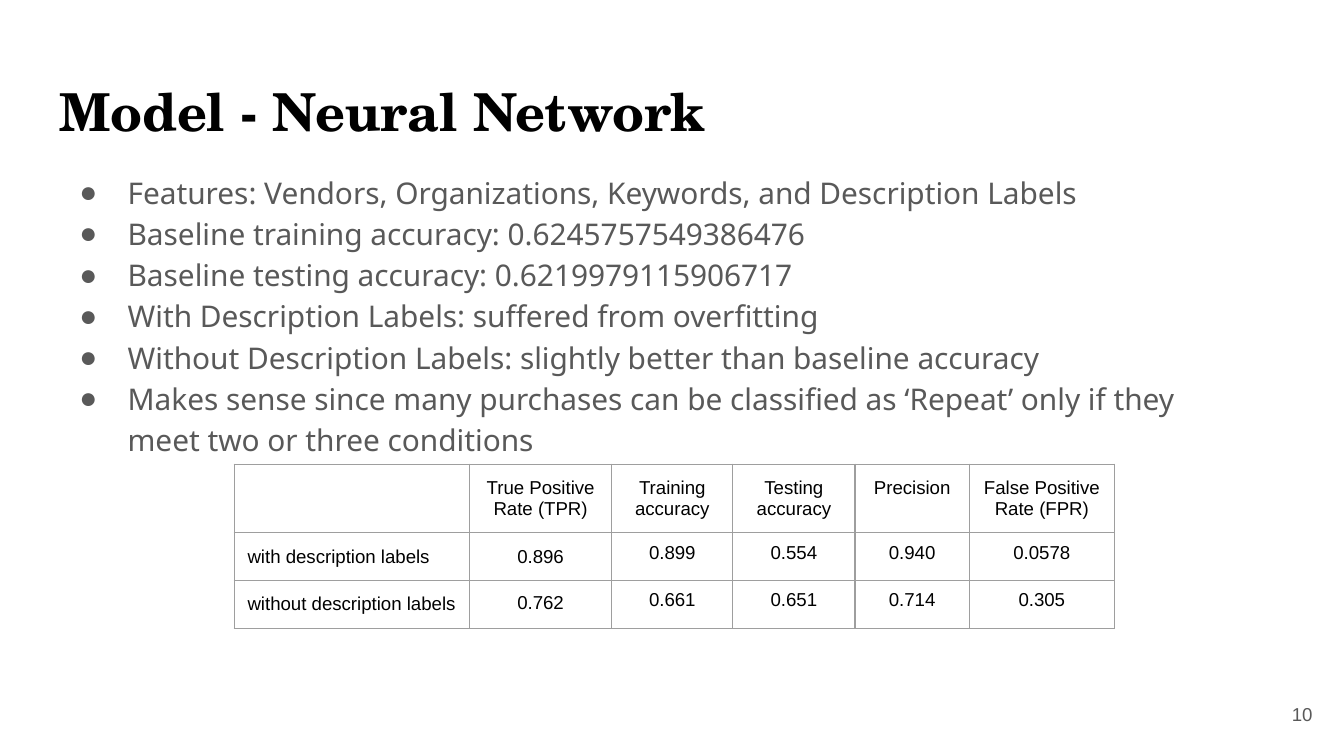
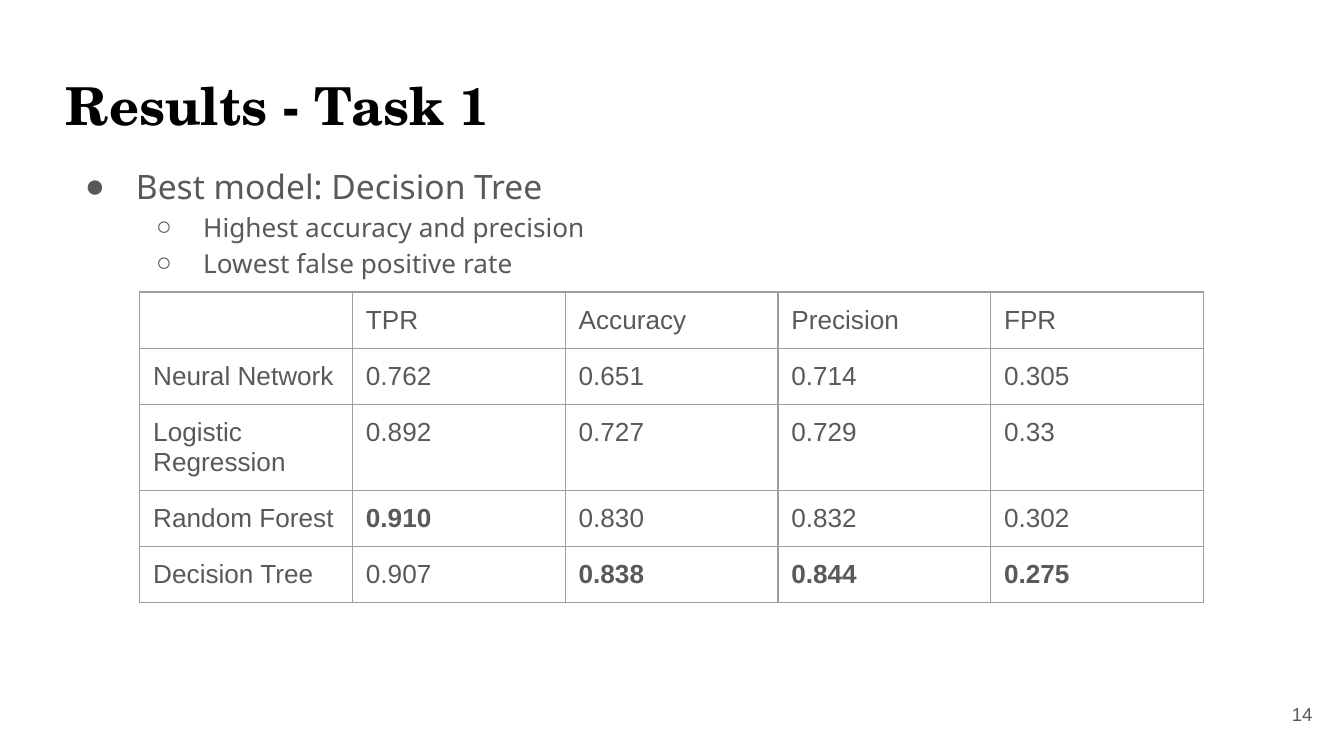
from dataclasses import dataclass

import pptx
import pptx.dml.color
import pptx.enum.text
import pptx.oxml
import pptx.oxml.ns
import pptx.util
from lxml import etree

Inches, Pt = pptx.util.Inches, pptx.util.Pt
RGBColor = pptx.dml.color.RGBColor
Align = pptx.enum.text.PP_ALIGN
Anchor = pptx.enum.text.MSO_ANCHOR
qn = pptx.oxml.ns.qn


@dataclass(frozen=True)
class Theme:
    black: str = "000000"
    grey: str = "595959"
    rule: str = "9E9E9E"
    title_font: str = "TeX Gyre Schola"
    body_font: str = "Noto Sans"
    table_font: str = "Arial"
    title_size: int = 28
    number_size: int = 10
    rule_width: float = 0.75
    inset: float = 0.1
    tight_inset: float = 0.07
    line_spacing: float = 1.15


theme = Theme()

# Bullet mark and left indent for each list level
levels = [("●", 0.5), ("○", 1.0)]

# Boxes are left, top, width and height in percent of the slide's size
number_box = (92.65, 90.66, 6, 7.65)

pages = [
    {
        "number": "10",
        "title": "Model - Neural Network",
        "title_box": (3.4, 8.7, 93.2, 19.7),
        "body_box": (3.5, 20.62, 90.6, 40.7),
        # level, size, hanging indent, wording
        "points": [
            (0, 16, 0.36, "Features: Vendors, Organizations, Keywords, and Description Labels"),
            (0, 16, 0.36, "Baseline training accuracy: 0.6245757549386476"),
            (0, 16, 0.36, "Baseline testing accuracy: 0.6219979115906717"),
            (0, 16, 0.36, "With Description Labels: suffered from overfitting"),
            (0, 16, 0.36, "Without Description Labels: slightly better than baseline accuracy"),
            (0, 16, 0.36, "Makes sense since many purchases can be classified as ‘Repeat’ "
                          "only if they meet two or three conditions"),
        ],
        "table_corner": (17.42, 61.4),
        "columns": [17.5, 10.6, 9, 9.1, 8.5, 10.8],
        "rows": [8.4, 5.7, 5.7],
        "table_size": 10,
        "table_color": theme.black,
        "value_align": Align.CENTER,
        "results": [
            ["", "True Positive Rate (TPR)", "Training accuracy", "Testing accuracy",
             "Precision", "False Positive Rate (FPR)"],
            ["with description labels", "0.896", "0.899", "0.554", "0.940", "0.0578"],
            ["without description labels", "0.762", "0.661", "0.651", "0.714", "0.305"],
        ],
        "best": set(),
        "tight": {(1, c) for c in range(2, 6)} | {(2, c) for c in range(1, 6)},
        "loose_lines": {(2, 1)},
    },
    {
        "number": "14",
        "title": "Results - Task 1",
        "title_box": (3.9, 7.95, 93.2, 19.7),
        "body_box": (4.12, 19.38, 46.5, 19.7),
        "points": [
            (0, 18, 0.38, "Best model: Decision Tree"),
            (1, 14, 0.35, "Highest accuracy and precision"),
            (1, 14, 0.35, "Lowest false positive rate"),
        ],
        "table_corner": (10.4, 38.62),
        "columns": [15.83] * 5,
        "rows": [7.4] * 5,
        "table_size": 14,
        "table_color": theme.grey,
        "value_align": Align.LEFT,
        "results": [
            ["", "TPR", "Accuracy", "Precision", "FPR"],
            ["Neural Network", "0.762", "0.651", "0.714", "0.305"],
            ["Logistic Regression", "0.892", "0.727", "0.729", "0.33"],
            ["Random Forest", "0.910", "0.830", "0.832", "0.302"],
            ["Decision Tree", "0.907", "0.838", "0.844", "0.275"],
        ],
        "best": {(3, 1), (4, 2), (4, 3), (4, 4)},
        "tight": set(),
        "loose_lines": set(),
    },
]

deck = pptx.Presentation()
deck.slide_width = Inches(10)
deck.slide_height = deck.slide_width * 9 // 16
column = deck.slide_width / 100
row = deck.slide_height / 100


def place(part, box, anchor=Anchor.TOP):
    """Move a text part to its box and give its frame the shared settings."""
    left, top, width, height = box
    part.left, part.width = round(left * column), round(width * column)
    part.top, part.height = round(top * row), round(height * row)
    frame = part.text_frame
    frame.word_wrap = True
    frame.auto_size = pptx.enum.text.MSO_AUTO_SIZE.NONE
    frame.vertical_anchor = anchor
    frame.margin_left = frame.margin_right = Inches(theme.inset)
    frame.margin_top = frame.margin_bottom = Inches(theme.inset)
    return frame


def style(paragraph, name, size, color, bold=False, align=Align.LEFT):
    paragraph.alignment = align
    font = paragraph.font
    font.name, font.size, font.bold = name, Pt(size), bold
    font.color.rgb = RGBColor.from_string(color)


for page in pages:
    slide = deck.slides.add_slide(deck.slide_layouts[1])

    heading = place(slide.shapes.title, page["title_box"])
    heading.text = page["title"]
    style(heading.paragraphs[0], theme.title_font, theme.title_size, theme.black, bold=True)

    body = place(slide.placeholders[1], page["body_box"])
    body.text = "\n".join(wording for *_, wording in page["points"])
    for paragraph, (level, size, hanging, _) in zip(body.paragraphs, page["points"]):
        mark, indent = levels[level]
        paragraph.level = level
        paragraph.line_spacing = theme.line_spacing
        paragraph.space_before = Pt(0)
        properties = paragraph._p.get_or_add_pPr()
        properties.set("marL", str(Inches(indent)))
        properties.set("indent", str(-Inches(hanging)))
        mark_color = etree.SubElement(properties, qn("a:buClr"))
        etree.SubElement(mark_color, qn("a:srgbClr"), val=theme.grey)
        etree.SubElement(properties, qn("a:buChar"), char=mark)
        style(paragraph, theme.body_font, size, theme.grey)

    page_number = place(slide.shapes.add_textbox(0, 0, 0, 0), number_box, Anchor.MIDDLE)
    page_number.text = page["number"]
    style(page_number.paragraphs[0], theme.table_font, theme.number_size, theme.grey,
          align=Align.RIGHT)

    left, top = page["table_corner"]
    scores = slide.shapes.add_table(
        len(page["rows"]), len(page["columns"]),
        round(left * column), round(top * row),
        round(sum(page["columns"]) * column), round(sum(page["rows"]) * row)).table
    scores.first_row = scores.horz_banding = False
    for table_column, width in zip(scores.columns, page["columns"]):
        table_column.width = round(width * column)
    for table_row, height in zip(scores.rows, page["rows"]):
        table_row.height = round(height * row)

    for r, line in enumerate(page["results"]):
        for c, wording in enumerate(line):
            cell = scores.cell(r, c)
            cell.text = wording
            inset = Inches(theme.tight_inset if (r, c) in page["tight"] else theme.inset)
            cell.margin_left = cell.margin_right = inset
            cell.margin_top = cell.margin_bottom = inset
            paragraph = cell.text_frame.paragraphs[0]
            if (r, c) in page["loose_lines"]:
                paragraph.line_spacing = theme.line_spacing
            style(paragraph, theme.table_font, page["table_size"], page["table_color"],
                  bold=(r, c) in page["best"],
                  align=page["value_align"] if c else Align.LEFT)
            for side in ("a:lnL", "a:lnR", "a:lnT", "a:lnB"):
                border = etree.SubElement(cell._tc.get_or_add_tcPr(), qn(side),
                                          w=str(Pt(theme.rule_width)))
                paint = etree.SubElement(border, qn("a:solidFill"))
                etree.SubElement(paint, qn("a:srgbClr"), val=theme.rule)
            cell.fill.background()

deck.save("out.pptx")
